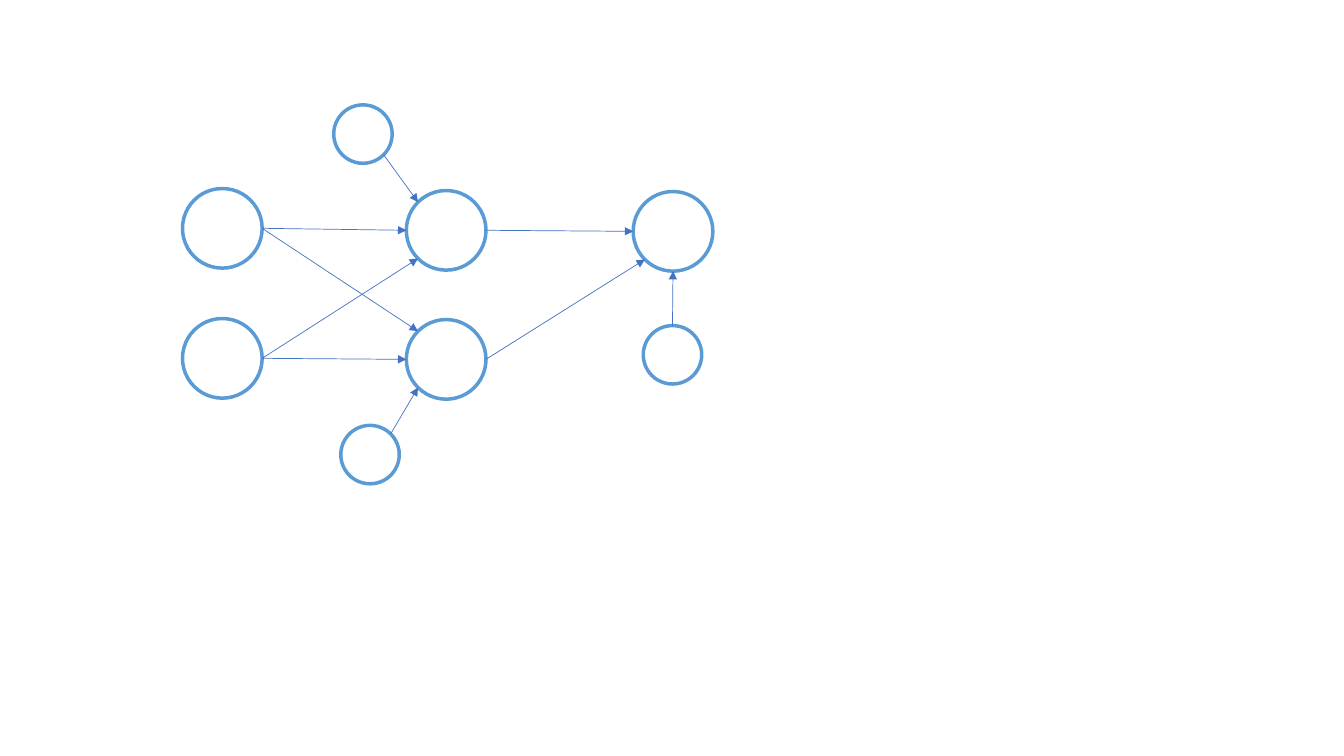
from math import cos, radians, sin

from lxml import etree
from pptx import Presentation
from pptx.dml.color import RGBColor
from pptx.enum import shapes
from pptx.oxml import ns
from pptx.util import Inches, Pt

RING = RGBColor(0x5B, 0x9B, 0xD5)
ARROW = RGBColor(0x44, 0x72, 0xC4)
UNIT, BIAS = 0.79, 0.58  # circle diameters

# Compass angles, clockwise from the right
RIGHT, LOW_R, DOWN, LOW_L, LEFT, UP_L, UP, UP_R = range(0, 360, 45)

# Neurons: left, top, diameter
nodes = {
    "in1": (1.81, 1.87, UNIT),
    "in2": (1.81, 3.16, UNIT),
    "hid1": (4.03, 1.89, UNIT),
    "hid2": (4.03, 3.17, UNIT),
    "out": (6.28, 1.9, UNIT),
    "bias1": (3.31, 1.04, BIAS),
    "bias2": (3.38, 4.22, BIAS),
    "bias3": (6.38, 3.23, BIAS),
}

# Weights: from node and side, to node and side
edges = [
    ("in1", RIGHT, "hid1", LEFT),
    ("in1", RIGHT, "hid2", UP_L),
    ("in2", RIGHT, "hid1", LOW_L),
    ("in2", RIGHT, "hid2", LEFT),
    ("hid1", RIGHT, "out", LEFT),
    ("hid2", RIGHT, "out", LOW_L),
    ("bias1", LOW_R, "hid1", UP_L),
    ("bias2", UP_R, "hid2", LOW_L),
    ("bias3", UP, "out", DOWN),
]


def rim(name, side):
    """Point on a neuron's edge at the given angle."""
    left, top, size = nodes[name]
    half, turn = size / 2, radians(side)
    return (Inches(left + half + half * cos(turn)),
            Inches(top + half + half * sin(turn)))


deck = Presentation()
deck.slide_width, deck.slide_height = Inches(13.33), Inches(7.5)
slide = deck.slides.add_slide(deck.slide_layouts[6])

# Circles
for left, top, size in nodes.values():
    ring = slide.shapes.add_shape(
        shapes.MSO_SHAPE.OVAL, Inches(left), Inches(top),
        Inches(size), Inches(size))
    ring.shadow.inherit = False
    ring.fill.background()
    ring.line.color.rgb = RING
    ring.line.width = Pt(2.5)

# Arrows
for start, side, end, entry in edges:
    link = slide.shapes.add_connector(
        shapes.MSO_CONNECTOR.STRAIGHT, *rim(start, side), *rim(end, entry))
    link.line.color.rgb = ARROW
    link.line.width = Pt(0.5)
    props = link.element.find(ns.qn("p:spPr"))
    outline = props.find(ns.qn("a:ln"))
    etree.SubElement(outline, ns.qn("a:tailEnd"), type="triangle")
    etree.SubElement(props, ns.qn("a:effectLst"))

deck.save("out.pptx")
